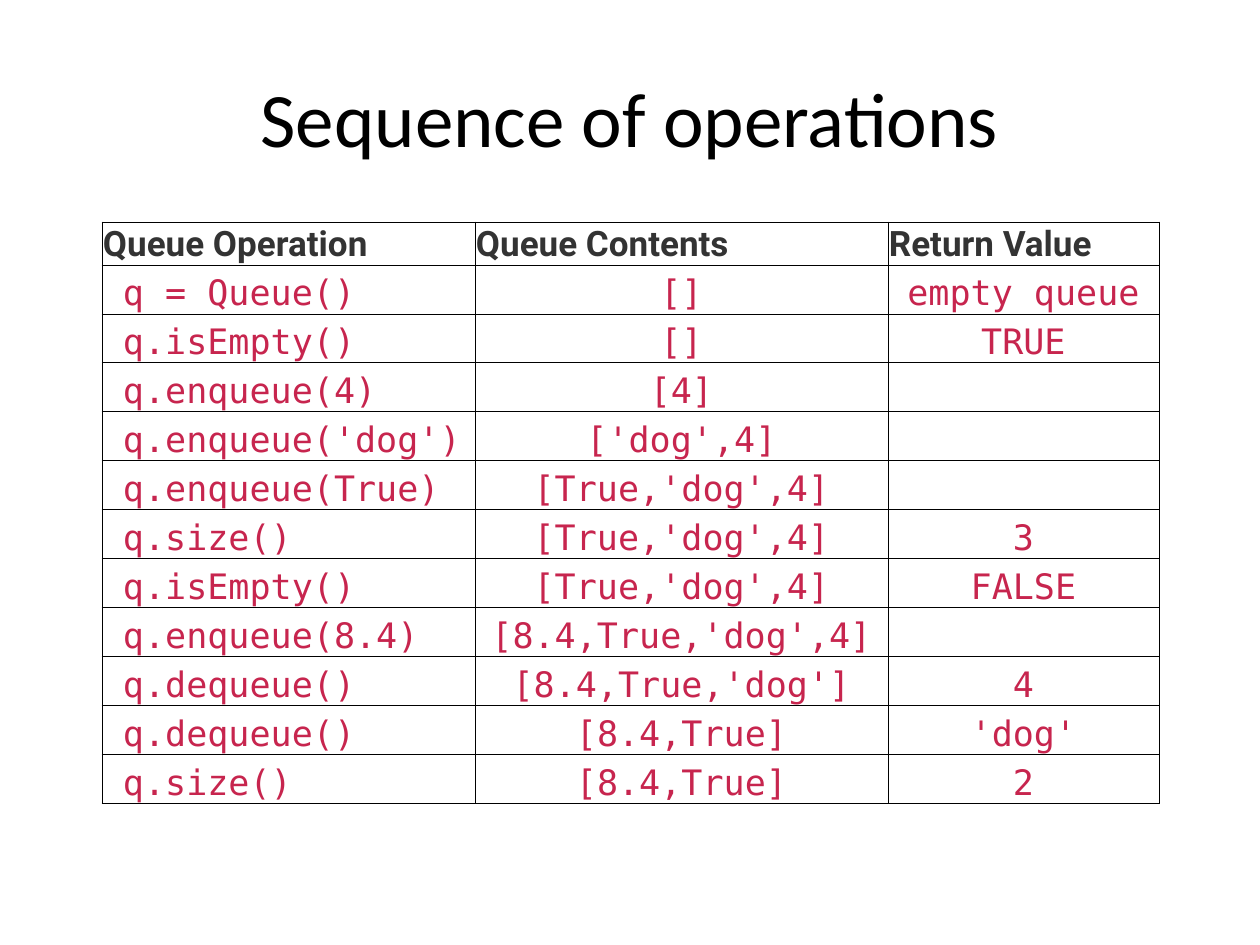
from dataclasses import dataclass

from lxml import etree
from pptx import Presentation
from pptx import util as u
from pptx.dml.color import RGBColor
from pptx.enum import text
from pptx.oxml import ns


@dataclass(frozen=True)
class Theme:
    title_font: str = "Calibri"
    header_font: str = "Roboto"
    code_font: str = "DejaVu Sans Mono"
    title_color: str = "000000"
    header_color: str = "333333"
    code_color: str = "C7254E"
    border_color: str = "000000"
    title_size: int = 44
    table_size: int = 20
    border_width: float = 0.5


THEME = Theme()
PIXELS_PER_INCH = 126
LEFT, CENTER = text.PP_ALIGN.LEFT, text.PP_ALIGN.CENTER

COLUMN_WIDTHS = (373, 413, 271)
HEADER_HEIGHT, ROW_HEIGHT = 43, 49
CELL_MARGIN, CODE_INDENT = 1, 21

HEADERS = ("Queue Operation", "Queue Contents", "Return Value")
OPERATIONS = (
    ("q = Queue()", "[]", "empty queue"),
    ("q.isEmpty()", "[]", "TRUE"),
    ("q.enqueue(4)", "[4]", ""),
    ("q.enqueue('dog')", "['dog',4]", ""),
    ("q.enqueue(True)", "[True,'dog',4]", ""),
    ("q.size()", "[True,'dog',4]", "3"),
    ("q.isEmpty()", "[True,'dog',4]", "FALSE"),
    ("q.enqueue(8.4)", "[8.4,True,'dog',4]", ""),
    ("q.dequeue()", "[8.4,True,'dog']", "4"),
    ("q.dequeue()", "[8.4,True]", "'dog'"),
    ("q.size()", "[8.4,True]", "2"),
)


def px(length):
    return u.Emu(round(length * 914400 / PIXELS_PER_INCH))


def write(frame, words, *, font, size, color, bold=False, align=LEFT):
    paragraph = frame.paragraphs[0]
    paragraph.alignment = align
    if not words:
        return
    run = paragraph.add_run()
    run.text = words
    run.font.name = font
    run.font.size = u.Pt(size)
    run.font.bold = bold
    run.font.color.rgb = RGBColor.from_string(color)


def add_borders(cell):
    properties = cell._tc.get_or_add_tcPr()
    for position, side in enumerate(("lnL", "lnR", "lnT", "lnB")):
        line = etree.Element(ns.qn(f"a:{side}"), w=str(u.Pt(THEME.border_width)))
        fill = etree.SubElement(line, ns.qn("a:solidFill"))
        etree.SubElement(fill, ns.qn("a:srgbClr"), val=THEME.border_color)
        properties.insert(position, line)


def format_cell(cell, indent):
    cell.fill.background()
    cell.vertical_anchor = text.MSO_ANCHOR.BOTTOM
    cell.margin_left = px(indent)
    cell.margin_right = cell.margin_top = px(CELL_MARGIN)
    cell.margin_bottom = 0
    add_borders(cell)


def place_title(slide, left, top, width, height):
    title = slide.shapes.title
    title.left, title.top = px(left), px(top)
    title.width, title.height = px(width), px(height)
    title.text_frame.vertical_anchor = text.MSO_ANCHOR.MIDDLE
    write(title.text_frame, "Sequence of operations", font=THEME.title_font,
          size=THEME.title_size, color=THEME.title_color, align=CENTER)


def place_operations_table(slide, left, top):
    rows = (HEADERS, *OPERATIONS)
    height = HEADER_HEIGHT + ROW_HEIGHT * len(OPERATIONS)
    table = slide.shapes.add_table(len(rows), len(HEADERS), px(left), px(top),
                                   px(sum(COLUMN_WIDTHS)), px(height)).table
    table.first_row = table.horz_banding = False
    for column, width in zip(table.columns, COLUMN_WIDTHS):
        column.width = px(width)

    for row_index, row in enumerate(rows):
        is_header = row_index == 0
        table.rows[row_index].height = px(HEADER_HEIGHT if is_header else ROW_HEIGHT)
        for column_index, words in enumerate(row):
            cell = table.cell(row_index, column_index)
            is_operation = column_index == 0 and not is_header
            format_cell(cell, CODE_INDENT if is_operation else CELL_MARGIN)
            write(cell.text_frame, words,
                  font=THEME.header_font if is_header else THEME.code_font,
                  size=THEME.table_size,
                  color=THEME.header_color if is_header else THEME.code_color,
                  bold=is_header,
                  align=LEFT if is_header or is_operation else CENTER)


def main():
    presentation = Presentation()
    presentation.slide_width, presentation.slide_height = px(1260), px(945)
    slide = presentation.slides.add_slide(presentation.slide_layouts.get_by_name("Title Only"))

    # Title
    place_title(slide, 63, 38, 1134, 157)
    # Queue operations with their contents and return values
    place_operations_table(slide, 102, 222)

    presentation.save("out.pptx")


if __name__ == "__main__":
    main()
